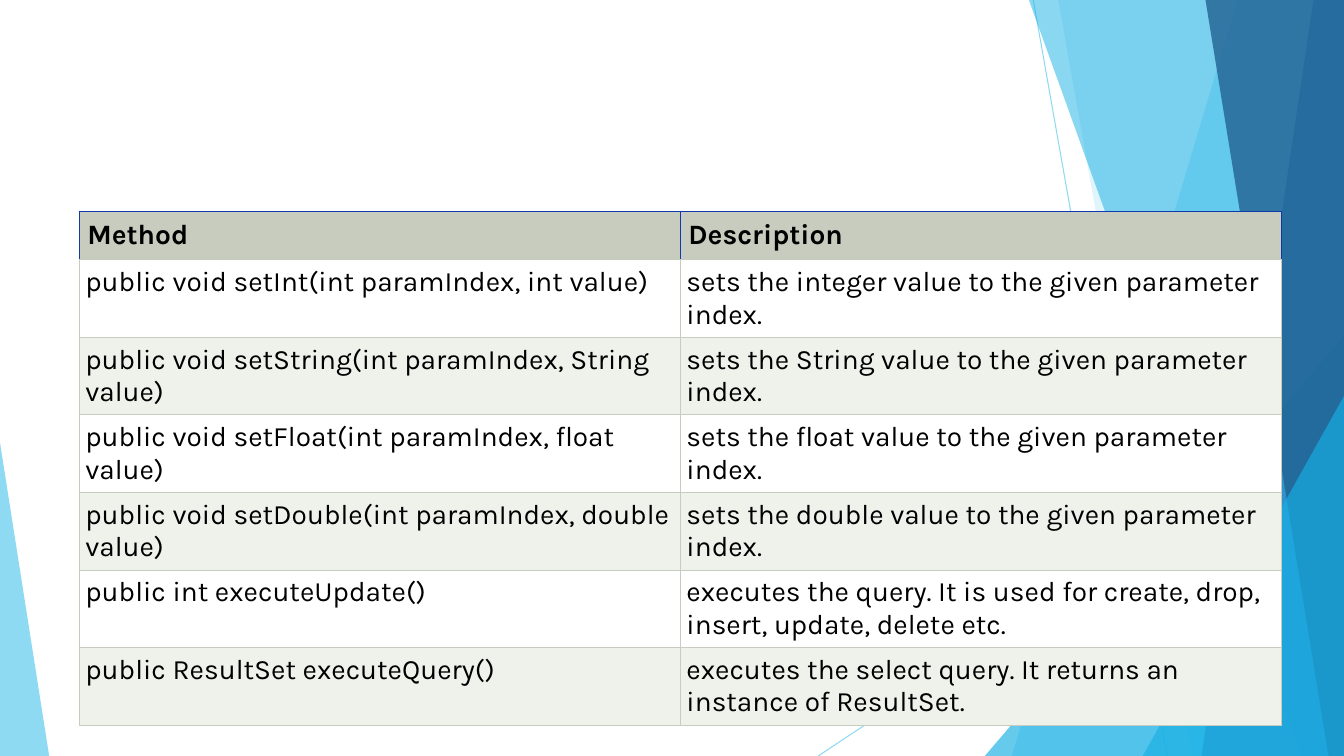
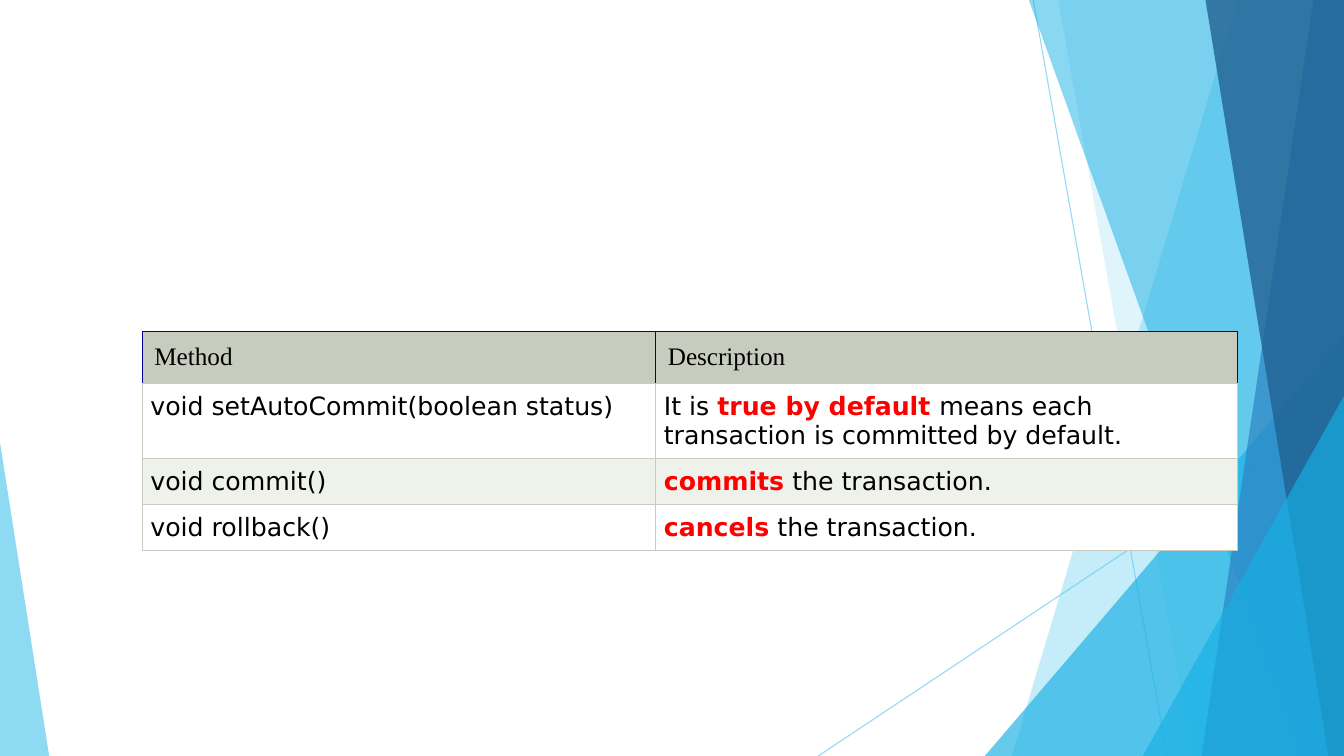
from dataclasses import dataclass

from lxml import etree
from pptx import Presentation
from pptx.dml.color import RGBColor
from pptx.enum.shapes import MSO_CONNECTOR, MSO_SHAPE
from pptx.oxml.ns import qn
from pptx.util import Cm, Pt

STRAIGHT = MSO_CONNECTOR.STRAIGHT
TRIANGLE = MSO_SHAPE.ISOSCELES_TRIANGLE

# Colours
SKY = RGBColor(0x5F, 0xCB, 0xEF)
CYAN = RGBColor(0x17, 0xB0, 0xE4)
BLUE = RGBColor(0x2E, 0x83, 0xC3)
NAVY = RGBColor(0x22, 0x62, 0x92)
WHITE = RGBColor(0xFF, 0xFF, 0xFF)
BLACK = RGBColor(0x00, 0x00, 0x00)
RED = RGBColor(0xFF, 0x00, 0x00)
SAGE = RGBColor(0xC7, 0xCC, 0xBE)
PALE_SAGE = RGBColor(0xEF, 0xF1, 0xEB)
ROYAL = RGBColor(0x10, 0x39, 0xAB)
INDIGO = RGBColor(0x00, 0x03, 0x95)

# Page size in centimetres
PAGE_WIDTH = 33.87
PAGE_HEIGHT = 19.05

HAIRLINE = Pt(0.75)


@dataclass(frozen=True)
class Ray:
    start: tuple[float, float]
    end: tuple[float, float]


@dataclass(frozen=True)
class Band:
    """Full-height panel from a slanted left edge to the right page edge."""
    top_x: float
    bottom_x: float
    color: RGBColor
    opacity: int


@dataclass(frozen=True)
class Wedge:
    """Triangle standing on the bottom page edge."""
    left: float
    top: float
    right: float
    apex: float
    color: RGBColor
    opacity: int


@dataclass(frozen=True)
class CellStyle:
    font: str
    size: int
    bold: bool
    margin: float


@dataclass(frozen=True)
class MethodTable:
    left: float
    top: float
    widths: tuple[float, ...]
    heights: tuple[float, ...]
    header: CellStyle
    body: CellStyle
    header_border: RGBColor
    rows: tuple[tuple[str, str], ...]  # words between asterisks are stressed


BACKDROP = (
    Ray((26.04, 0), (29.41, PAGE_HEIGHT)),
    Ray((PAGE_WIDTH, 10.24), (20.62, PAGE_HEIGHT)),
    Band(31.19, 25.5, SKY, 36),
    Band(26.67, 30.05, SKY, 20),
    Wedge(24.82, 8.46, PAGE_WIDTH, 1, CYAN, 66),
    Band(25.93, 32.79, CYAN, 50),
    Band(33.1, 30.28, BLUE, 70),
    Band(30.38, 33.48, NAVY, 80),
    Wedge(28.8, 9.98, PAGE_WIDTH, 1, CYAN, 66),
    Wedge(0, 11.15, 1.24, 0, SKY, 70),
)

HEADINGS = ("Method", "Description")

TABLES = (
    MethodTable(
        left=2, top=5.32, widths=(15.15, 15.15), heights=(1.23,) + (1.93,) * 6,
        header=CellStyle("Karla", 20, True, 0.2),
        body=CellStyle("Karla", 20, False, 0.15),
        header_border=ROYAL,
        rows=(
            HEADINGS,
            ("public void setInt(int paramIndex, int value)",
             "sets the integer value to the given parameter index."),
            ("public void setString(int paramIndex, String value)",
             "sets the String value to the given parameter index."),
            ("public void setFloat(int paramIndex, float value)",
             "sets the float value to the given parameter index."),
            ("public void setDouble(int paramIndex, double value)",
             "sets the double value to the given parameter index."),
            ("public int executeUpdate()",
             "executes the query. It is used for create, drop, insert, update, delete etc."),
            ("public ResultSet executeQuery()",
             "executes the select query. It returns an instance of ResultSet."),
        ),
    ),
    MethodTable(
        left=3.59, top=8.34, widths=(12.94, 14.65), heights=(1.33, 1.89, 1.16, 1.16),
        header=CellStyle("Times New Roman", 18, False, 0.3),
        body=CellStyle("DejaVu Sans", 18, False, 0.2),
        header_border=INDIGO,
        rows=(
            HEADINGS,
            ("void setAutoCommit(boolean status)",
             "It is *true by default *means each transaction is committed by default."),
            ("void commit()", "*commits* the transaction."),
            ("void rollback()", "*cancels* the transaction."),
        ),
    ),
)


def set_opacity(shape, percent: int) -> None:
    for color in shape.element.spPr.iter(qn("a:srgbClr")):
        etree.SubElement(color, qn("a:alpha"), val=str(percent * 1000))


# Backdrop parts
def draw_ray(page, ray: Ray) -> None:
    line = page.shapes.add_connector(
        STRAIGHT, *(Cm(value) for value in ray.start + ray.end))
    line.line.color.rgb = SKY
    line.line.width = HAIRLINE
    set_opacity(line, 70)
    etree.SubElement(line.element.spPr, qn("a:effectLst"))


def paint(shape, part: Band | Wedge) -> None:
    shape.shadow.inherit = False
    shape.fill.solid()
    shape.fill.fore_color.rgb = part.color
    shape.line.fill.background()
    set_opacity(shape, part.opacity)


def draw_band(page, band: Band) -> None:
    outline = page.shapes.build_freeform(Cm(band.top_x), 0)
    corners = ((PAGE_WIDTH, 0), (PAGE_WIDTH, PAGE_HEIGHT), (band.bottom_x, PAGE_HEIGHT))
    outline.add_line_segments([(Cm(x), Cm(y)) for x, y in corners], close=True)
    paint(outline.convert_to_shape(), band)


def draw_wedge(page, wedge: Wedge) -> None:
    shape = page.shapes.add_shape(
        TRIANGLE, Cm(wedge.left), Cm(wedge.top),
        Cm(wedge.right - wedge.left), Cm(PAGE_HEIGHT - wedge.top))
    shape.adjustments[0] = wedge.apex
    paint(shape, wedge)


def draw_backdrop(page) -> None:
    painters = {Ray: draw_ray, Band: draw_band, Wedge: draw_wedge}
    for part in BACKDROP:
        painters[type(part)](page, part)


# Table parts
def set_borders(cell, side_color: RGBColor) -> None:
    properties = cell._tc.get_or_add_tcPr()
    colors = {"lnL": side_color, "lnR": side_color, "lnT": side_color, "lnB": SAGE}
    for tag, color in colors.items():
        border = etree.SubElement(properties, qn(f"a:{tag}"), w=str(HAIRLINE))
        fill = etree.SubElement(border, qn("a:solidFill"))
        etree.SubElement(fill, qn("a:srgbClr"), val=str(color))


def write_cell(cell, text: str, style: CellStyle) -> None:
    for side in ("left", "top", "right", "bottom"):
        setattr(cell, f"margin_{side}", Cm(style.margin))
    para = cell.text_frame.paragraphs[0]
    for index, words in enumerate(text.split("*")):
        if not words:
            continue
        stressed = index % 2 == 1
        span = para.add_run()
        span.text = words
        formats = {"name": style.font, "size": Pt(style.size),
                   "bold": style.bold or stressed}
        for name, value in formats.items():
            setattr(span.font, name, value)
        span.font.color.rgb = RED if stressed else BLACK


def draw_table(page, content: MethodTable) -> None:
    table = page.shapes.add_table(
        len(content.rows), len(content.widths), Cm(content.left), Cm(content.top),
        Cm(sum(content.widths)), Cm(sum(content.heights))).table
    table.first_row = table.horz_banding = False
    for column, width in zip(table.columns, content.widths):
        column.width = Cm(width)
    for row, height in zip(table.rows, content.heights):
        row.height = Cm(height)
    for row_index, texts in enumerate(content.rows):
        is_header = row_index == 0
        band_color = WHITE if row_index % 2 else PALE_SAGE
        for column_index, text in enumerate(texts):
            cell = table.cell(row_index, column_index)
            set_borders(cell, content.header_border if is_header else SAGE)
            cell.fill.solid()
            cell.fill.fore_color.rgb = SAGE if is_header else band_color
            write_cell(cell, text, content.header if is_header else content.body)


def main() -> None:
    deck = Presentation()
    deck.slide_width = Cm(PAGE_WIDTH)
    deck.slide_height = Cm(PAGE_HEIGHT)
    for content in TABLES:
        page = deck.slides.add_slide(deck.slide_layouts[6])
        draw_backdrop(page)
        draw_table(page, content)
    deck.save("out.pptx")


if __name__ == "__main__":
    main()
